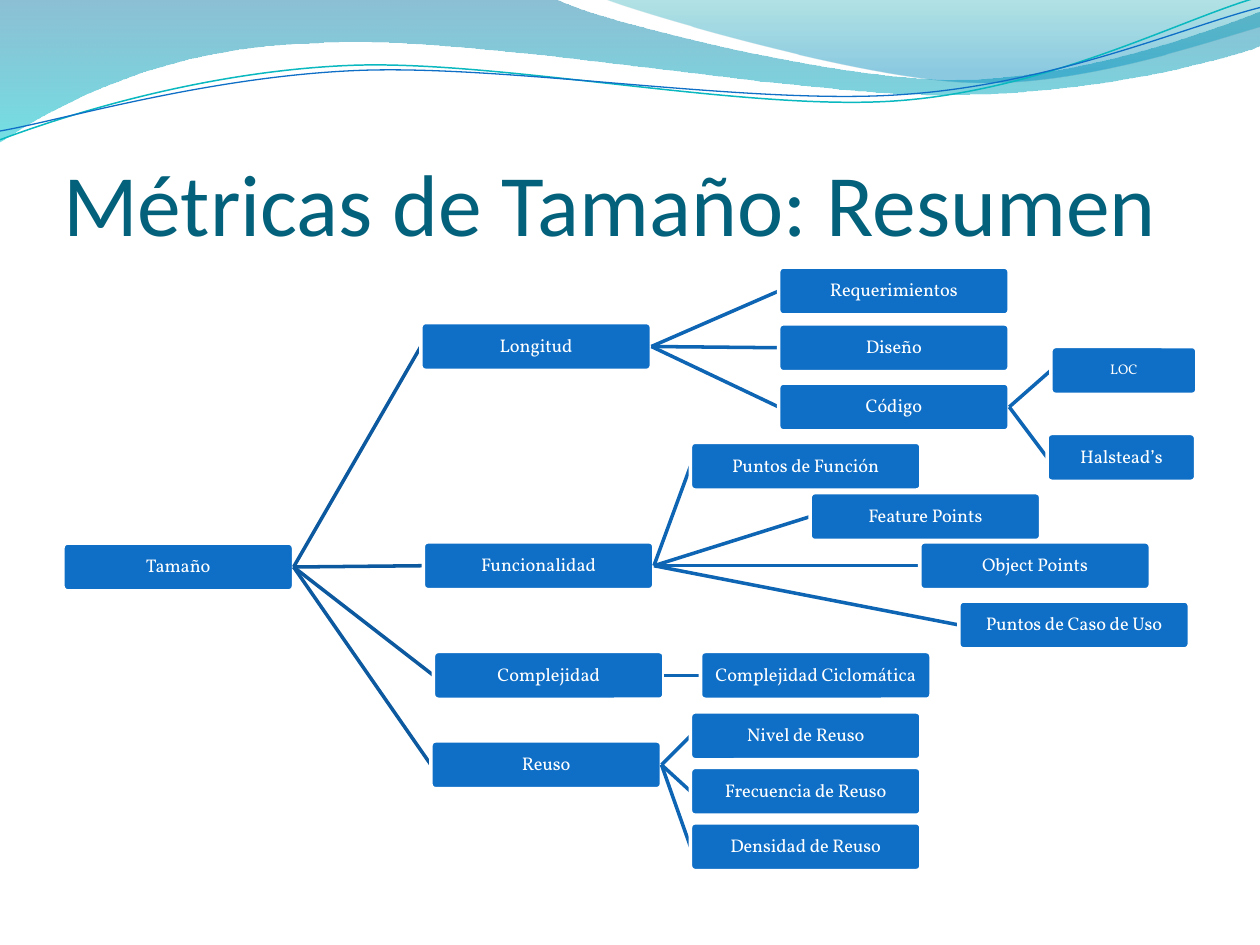
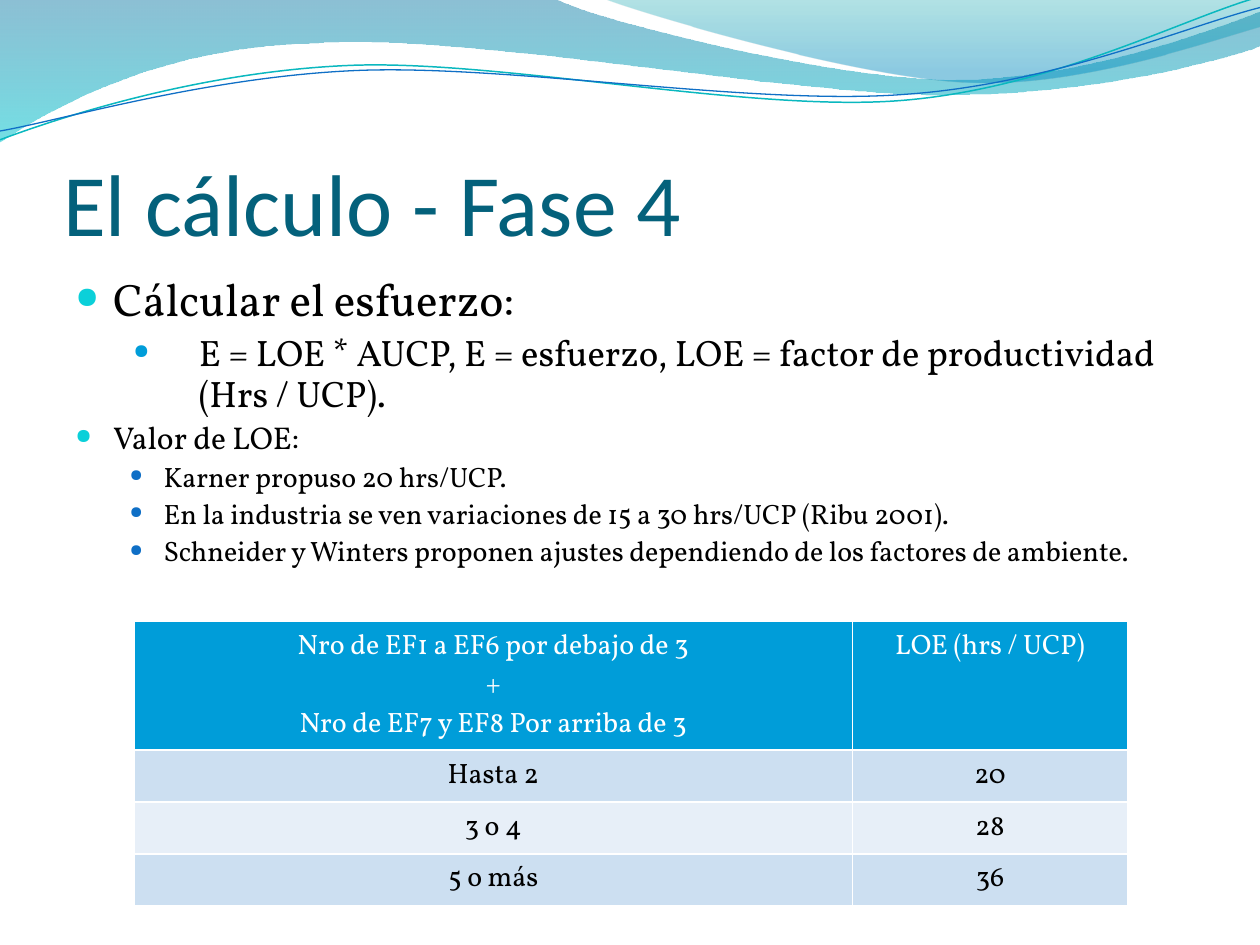
from dataclasses import dataclass
from typing import Any, NamedTuple

import lxml.etree
import pptx
import pptx.dml.color
import pptx.enum.shapes
import pptx.enum.text
import pptx.oxml.ns
import pptx.util

Align = pptx.enum.text.PP_ALIGN
Anchor = pptx.enum.text.MSO_ANCHOR
Point = tuple[float, float]


@dataclass(frozen=True)
class Theme:
    head: str = "04617B"
    ink: str = "000000"
    paper: str = "FFFFFF"
    box: str = "0F6FC6"
    links: tuple = ("0C599F", "0E65B4")
    teal: str = "0AB8BF"
    table: str = "009DD9"
    bands: tuple = ("CCDFF1", "E7EFF8")
    title_font: str = "Calibri"
    font: str = "Vollkorn"
    title_size: float = 50
    box_size: float = 10.5
    small_size: float = 8
    cell_size: float = 16


@dataclass(frozen=True)
class Grid:
    cols: int = 100
    rows: int = 75
    wide: int = pptx.util.Inches(10)
    high: int = pptx.util.Inches(7.5)

    def x(self, col: float) -> int:
        return round(self.wide * col / self.cols)

    def y(self, row: float) -> int:
        return round(self.high * row / self.rows)

    def area(self, col: float, row: float, wide: float, high: float) -> tuple:
        return self.x(col), self.y(row), self.x(wide), self.y(high)


class Stop(NamedTuple):
    place: float
    color: str
    alpha: int


class Wave(NamedTuple):
    start: Point
    steps: tuple
    stops: tuple = ()
    color: str = ""
    width: float = 0


class Node(NamedTuple):
    text: str
    col: float
    row: float
    kids: tuple = ()
    wide: float = 18.3
    size: float = Theme.box_size


class Level(NamedTuple):
    left: float
    hang: float
    color: str
    scale: int


class Item(NamedTuple):
    text: str
    level: Level
    size: float
    gap: float


THEME = Theme()
GRID = Grid()
NODE_HIGH = 3.8

WAVES = (
    Wave((0, 0), (
        ((44, -0.1),),
        ((47.6, 1.7), (66.4, 6.3), (75.8, 6.3)),
        ((85.3, 6.3), (95.8, 2.6), (100, 0.9)),
        ((100.1, 3.6),),
        ((98.3, 4.4), (87, 7.6), (74.6, 7.5)),
        ((62.2, 7.5), (38.2, 2.8), (25.7, 3.4)),
        ((12.9, 3.6), (4.6, 8.3), (-0.1, 11.3)),
    ), stops=(Stop(0, "0074A1", 45), Stop(1, "00C6CF", 55))),
    Wave((47.9, -0.1), (
        ((50.9, 1.1), (68.2, 6.2), (76.9, 6.5)),
        ((85.6, 6.9), (96.1, 3.2), (100, 2.1)),
        ((100, 0),),
    ), stops=(Stop(0, "00A1A9", 30), Stop(0.8, "008BBF", 45))),
    Wave((0, 11.1), (
        ((4.8, 9.3), (15.8, 5.7), (27.7, 5.2)),
        ((39.5, 4.7), (59.3, 8.9), (71.3, 8)),
        ((83.3, 7.1), (93.8, 1.5), (99.8, -0.2)),
    ), color=THEME.teal, width=0.85),
    Wave((0, 10.4), (
        ((4.7, 9.6), (16.4, 6.1), (28.3, 5.6)),
        ((40.3, 5.1), (59.7, 8.4), (71.7, 7.5)),
        ((83.6, 6.7), (94.1, 2.1), (100, 0.6)),
    ), color=THEME.box, width=0.75),
)

REUSE = ("Nivel de Reuso", "Frecuencia de Reuso", "Densidad de Reuso")
TREE = Node("Tamaño", 5, 43.1, (
    Node("Longitud", 33.4, 25.6, (
        Node("Requerimientos", 61.8, 21.2),
        Node("Diseño", 61.8, 25.7),
        Node("Código", 61.8, 30.4, (
            Node("LOC", 83.4, 27.5, wide=11.6, size=THEME.small_size),
            Node("Halstead’s", 83.1, 34.4, wide=11.8),
        )),
    )),
    Node("Funcionalidad", 33.6, 43, (
        Node("Puntos de Función", 54.8, 35.1),
        Node("Feature Points", 64.3, 39.1),
        Node("Object Points", 73, 43),
        Node("Puntos de Caso de Uso", 76.1, 47.7),
    )),
    Node("Complejidad", 34.4, 51.7, (Node("Complejidad Ciclomática", 55.6, 51.7),)),
    Node("Reuso", 34.2, 58.8, tuple(
        Node(text, 54.8, 56.5 + 4.4 * i) for i, text in enumerate(REUSE)
    )),
))

TOP = Level(3, 3, "0BD0D9", 66)
SUB = Level(7, 2.7, THEME.box, 60)
DEEP = Level(9.8, 5.2, THEME.table, 55)
ITEMS = (
    Item("Cálcular el esfuerzo:", TOP, 26, 0),
    Item("E = LOE * AUCP, E = esfuerzo, LOE = factor de productividad (Hrs / UCP).", DEEP, 21, 4.2),
    Item("Valor de LOE:", TOP, 18, 3),
    Item("Karner propuso 20 hrs/UCP.", SUB, 16, 3.4),
    Item("En la industria se ven variaciones de 15 a 30 hrs/UCP (Ribu 2001).", SUB, 16, 3.4),
    Item("Schneider y Winters proponen ajustes dependiendo de los factores de ambiente.", SUB, 16, 3.4),
)

COL_SPANS = (57, 21.85)
ROW_SPANS = (10.24, 4.12, 4.12, 4.12)
CELLS = (
    ("Nro de EF1 a EF6 por debajo de 3\n+\nNro de EF7 y EF8 Por arriba de 3", "LOE (hrs / UCP)"),
    ("Hasta 2", "20"),
    ("3 o 4", "28"),
    ("5 o más", "36"),
)


def tint(color: str) -> Any:
    return pptx.dml.color.RGBColor.from_string(color)


def put(target: Any, form: dict[str, Any]) -> None:
    for name, value in form.items():
        setattr(target, name, value)


def tag(parent: Any, name: str, **marks: Any) -> Any:
    values = {key: str(value) for key, value in marks.items()}
    return lxml.etree.SubElement(parent, pptx.oxml.ns.qn(name), values)


def pads(left: float, top: float, right: float, bottom: float) -> dict[str, Any]:
    sides = ("left", "top", "right", "bottom")
    sizes = (left, top, right, bottom)
    return {f"margin_{side}": pptx.util.Inches(size) for side, size in zip(sides, sizes)}


def write(para: Any, text: str, size: float, color: str, font: str = THEME.font) -> None:
    run = para.add_run()
    run.text = text
    put(run.font, {"name": font, "size": pptx.util.Pt(size), "bold": False})
    run.font.color.rgb = tint(color)


def stroke(line: Any, color: str, width: float) -> None:
    line.color.rgb = tint(color)
    line.width = pptx.util.Pt(width)


def bend(shape: Any, steps: tuple) -> None:
    lines = iter(list(shape._element.iter(pptx.oxml.ns.qn("a:lnTo"))))
    for step in steps:
        parts = [next(lines) for _ in step]
        if len(parts) == 3:
            curve = tag(parts[0].getparent(), "a:cubicBezTo")
            parts[0].addprevious(curve)
            for part in parts:
                curve.append(part[0])
                part.getparent().remove(part)


def draw_wave(slide: Any, wave: Wave) -> Any:
    points = [(GRID.x(col), GRID.y(row)) for step in wave.steps for col, row in step]
    pen = slide.shapes.build_freeform(GRID.x(wave.start[0]), GRID.y(wave.start[1]), scale=1.0)
    pen.add_line_segments(points, close=bool(wave.stops))
    shape = pen.convert_to_shape()
    bend(shape, wave.steps)
    shape.shadow.inherit = False
    if not wave.stops:
        shape.fill.background()
        stroke(shape.line, wave.color, wave.width)
        return shape
    shape.line.fill.background()
    shape.fill.gradient()
    shape.fill.gradient_angle = 270
    for part, stop in zip(shape.fill.gradient_stops, wave.stops):
        part.position = stop.place
        part.color.rgb = tint(stop.color)
    marks = shape._element.spPr.iter(pptx.oxml.ns.qn("a:srgbClr"))
    for mark, stop in zip(marks, wave.stops):
        tag(mark, "a:alpha", val=stop.alpha * 1000)
    return shape


def share_waves(slide: Any) -> None:
    tree = slide.slide_layout.shapes._spTree
    for i, wave in enumerate(WAVES):
        tree.insert(2 + i, draw_wave(slide, wave)._element)


def add_slide(deck: Any, text: str) -> Any:
    slide = deck.slides.add_slide(deck.slide_layouts[5])
    title = slide.shapes.title
    put(title, dict(zip(("left", "top", "width", "height"), GRID.area(5, 7.7, 90, 12.5))))
    put(title.text_frame, {
        "vertical_anchor": Anchor.BOTTOM, "word_wrap": True,
        "auto_size": pptx.enum.text.MSO_AUTO_SIZE.NONE, **pads(0, 0.05, 0, 0),
    })
    para = title.text_frame.paragraphs[0]
    para.alignment = Align.LEFT
    write(para, text, THEME.title_size, THEME.head, THEME.title_font)
    return slide


def draw_node(slide: Any, node: Node) -> Any:
    kind = pptx.enum.shapes.MSO_SHAPE.ROUNDED_RECTANGLE
    box = slide.shapes.add_shape(kind, *GRID.area(node.col, node.row, node.wide, NODE_HIGH))
    box.adjustments[0] = 0.1
    box.shadow.inherit = False
    box.fill.solid()
    box.fill.fore_color.rgb = tint(THEME.box)
    stroke(box.line, THEME.paper, 2)
    put(box.text_frame, {
        "word_wrap": True, "vertical_anchor": Anchor.MIDDLE, **pads(0.02, 0.02, 0.02, 0.02),
    })
    para = box.text_frame.paragraphs[0]
    put(para, {"alignment": Align.CENTER, "line_spacing": 0.9})
    write(para, node.text, node.size, THEME.paper)
    return box


def join(slide: Any, start: Any, end: Any, color: str) -> None:
    kind = pptx.enum.shapes.MSO_CONNECTOR.STRAIGHT
    link = slide.shapes.add_connector(kind, 0, 0, 0, 0)
    link.begin_connect(start, 3)
    link.end_connect(end, 1)
    stroke(link.line, color, 2)
    tag(link._element.spPr, "a:effectLst")
    end._element.addprevious(link._element)


def draw_tree(slide: Any, node: Node, depth: int = 0) -> Any:
    box = draw_node(slide, node)
    for kid in node.kids:
        join(slide, box, draw_tree(slide, kid, depth + 1), THEME.links[min(depth, 1)])
    return box


def draw_list(slide: Any, items: tuple) -> None:
    frame = slide.shapes.add_textbox(*GRID.area(5, 21.2, 90, 48)).text_frame
    put(frame, {"word_wrap": True, **pads(0.1, 0.07, 0.1, 0.05)})
    for i, item in enumerate(items):
        para = frame.add_paragraph() if i else frame.paragraphs[0]
        level = item.level
        props = para._p.get_or_add_pPr()
        props.set("marL", str(GRID.x(level.left)))
        props.set("indent", str(-GRID.x(level.hang)))
        tag(tag(props, "a:buClr"), "a:srgbClr", val=level.color)
        tag(props, "a:buSzPct", val=level.scale * 1000)
        tag(props, "a:buChar", char="●")
        put(para, {"line_spacing": 0.93, "space_before": pptx.util.Pt(item.gap)})
        write(para, item.text, item.size, THEME.ink)


def draw_cell(cell: Any, text: str, row: int) -> None:
    props = cell._tc.get_or_add_tcPr()
    for side in "LRTB":
        edge = tag(props, f"a:ln{side}", w=pptx.util.Pt(1))
        tag(tag(edge, "a:solidFill"), "a:srgbClr", val=THEME.paper)
    cell.fill.solid()
    cell.fill.fore_color.rgb = tint(THEME.bands[(row - 1) % 2] if row else THEME.table)
    put(cell, pads(0.1, 0.05, 0.1, 0.05))
    for i, line in enumerate(text.split("\n")):
        para = cell.text_frame.add_paragraph() if i else cell.text_frame.paragraphs[0]
        para.alignment = Align.CENTER
        write(para, line, THEME.cell_size, THEME.ink if row else THEME.paper)


def draw_table(slide: Any) -> None:
    area = GRID.area(10.65, 49.3, sum(COL_SPANS), sum(ROW_SPANS))
    table = slide.shapes.add_table(len(ROW_SPANS), len(COL_SPANS), *area).table
    for col, span in zip(table.columns, COL_SPANS):
        col.width = GRID.x(span)
    for row, span in zip(table.rows, ROW_SPANS):
        row.height = GRID.y(span)
    for r, texts in enumerate(CELLS):
        for c, text in enumerate(texts):
            draw_cell(table.cell(r, c), text, r)


def main() -> None:
    deck = pptx.Presentation()
    put(deck, {"slide_width": GRID.wide, "slide_height": GRID.high})
    size = add_slide(deck, "Métricas de Tamaño: Resumen")
    share_waves(size)
    draw_tree(size, TREE)
    phase = add_slide(deck, "El cálculo - Fase 4")
    draw_list(phase, ITEMS)
    draw_table(phase)
    deck.save("out.pptx")


if __name__ == "__main__":
    main()
